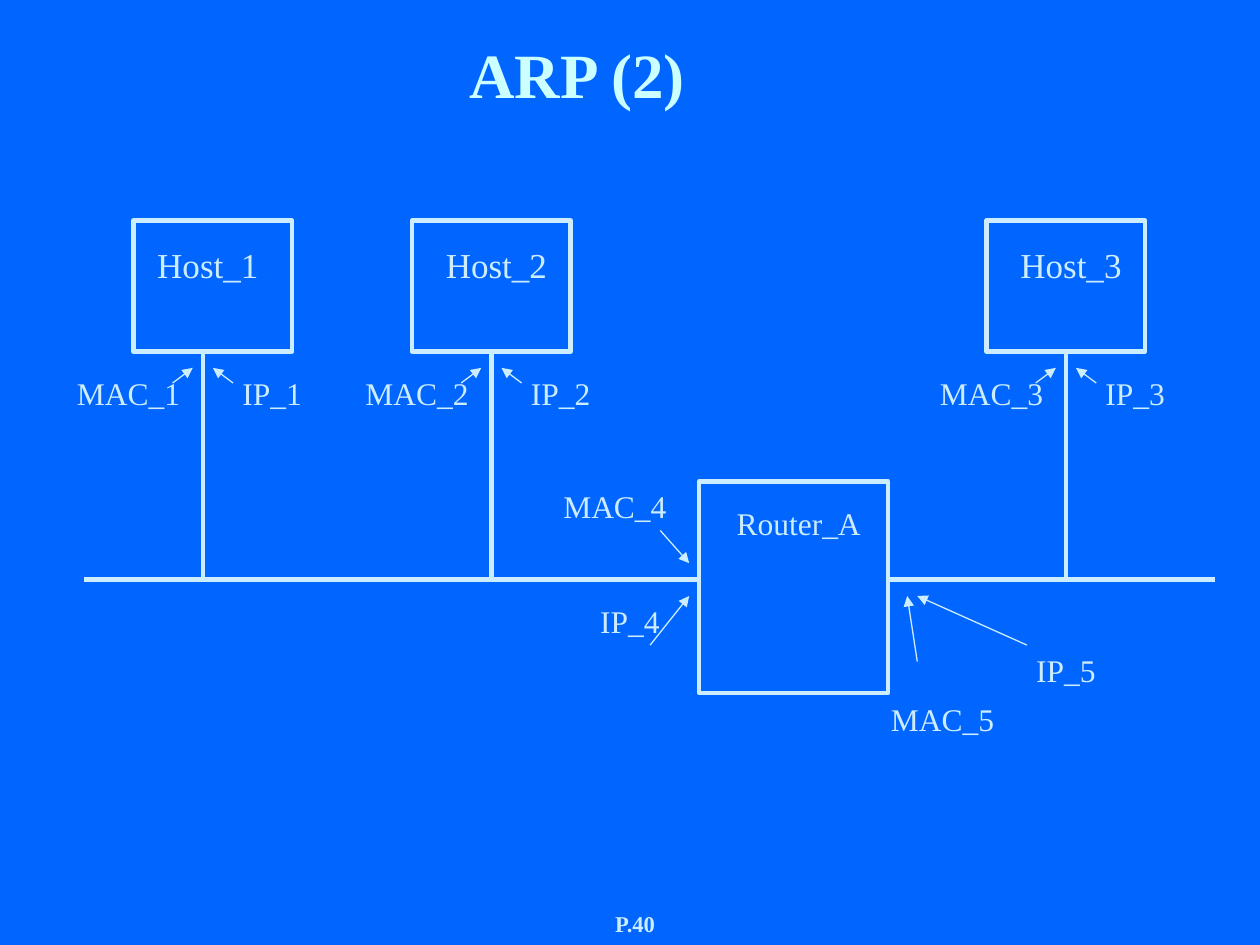
from dataclasses import dataclass

from lxml import etree
from pptx import Presentation
from pptx.dml.color import RGBColor
from pptx.enum import shapes, text
from pptx.oxml.ns import qn
from pptx.util import Inches, Pt

BLUE = RGBColor(0x00, 0x66, 0xFF)
PALE = RGBColor(0xCC, 0xEC, 0xFF)
TITLE = RGBColor(0xCC, 0xFF, 0xFF)
FONT = "Times New Roman"
THICK, THIN = 2.5, 0.75
BUS_Y = 4.6
MAC_W, IP_W = 1.18, 0.94


@dataclass
class Host:
    number: int
    wire_x: float
    box_x: float


@dataclass
class Label:
    words: str
    x: float
    y: float
    w: float


@dataclass
class Arrow:
    x1: float
    y1: float
    x2: float
    y2: float


HOSTS = [Host(1, 1.61, 1.06), Host(2, 3.9, 3.27), Host(3, 8.46, 7.83)]
ROUTER_LABELS = [
    Label("Router_A", 5.71, 3.95, 1.26),
    Label("MAC_4", 4.29, 3.82, MAC_W),
    Label("IP_4", 4.53, 4.73, IP_W),
    Label("MAC_5", 6.89, 5.51, MAC_W),
    Label("IP_5", 7.99, 5.12, IP_W),
]
ROUTER_ARROWS = [
    Arrow(5.24, 4.21, 5.47, 4.47),
    Arrow(5.16, 5.12, 5.47, 4.73),
    Arrow(7.28, 5.25, 7.2, 4.73),
    Arrow(8.15, 5.12, 7.28, 4.73),
]

prs = Presentation()
prs.slide_width, prs.slide_height = Inches(10), Inches(7.5)
s = prs.slides.add_slide(prs.slide_layouts[6])
s.background.fill.solid()
s.background.fill.fore_color.rgb = BLUE


def add_text(label: Label, h: float = 0.4, size: float = 18, bold: bool = False,
             color: RGBColor = PALE, top: float = 0.05) -> None:
    sp = s.shapes.add_textbox(Inches(label.x), Inches(label.y), Inches(label.w), Inches(h))
    tf = sp.text_frame
    tf.word_wrap = True
    tf.margin_top = Inches(top)
    p = tf.paragraphs[0]
    p.text = label.words
    p.alignment = text.PP_ALIGN.CENTER
    p.font.name, p.font.size, p.font.bold = FONT, Pt(size), bold
    p.font.color.rgb = color


def add_box(x: float, y: float, w: float, h: float) -> None:
    sp = s.shapes.add_shape(shapes.MSO_SHAPE.RECTANGLE,
                            Inches(x), Inches(y), Inches(w), Inches(h))
    sp.shadow.inherit = False
    sp.fill.background()
    sp.line.color.rgb = PALE
    sp.line.width = Pt(THICK)


def add_line(a: Arrow, width: float = THICK, head: bool = False) -> None:
    sp = s.shapes.add_connector(shapes.MSO_CONNECTOR.STRAIGHT, Inches(a.x1),
                                Inches(a.y1), Inches(a.x2), Inches(a.y2))
    sp.line.color.rgb = PALE
    sp.line.width = Pt(width)
    if head:
        etree.SubElement(sp.line._get_or_add_ln(), qn("a:tailEnd"), type="triangle")
    etree.SubElement(sp._element.spPr, qn("a:effectLst"))


def add_host(host: Host) -> None:
    x, n = host.wire_x, host.number
    add_box(host.box_x, 1.75, 1.26, 1.04)
    add_line(Arrow(x, 2.79, x, BUS_Y))
    add_text(Label(f"Host_{n}", x - 0.55, 1.88, 1.18), 0.44, 20)
    add_text(Label(f"MAC_{n}", x - MAC_W, 2.92, MAC_W))
    add_text(Label(f"IP_{n}", x + 0.08, 2.92, IP_W))
    for side in (-1, 1):
        add_line(Arrow(x + side * 0.24, 3.04, x + side * 0.08, 2.92), THIN, True)


add_text(Label("P.40", 4, 7.17, 2.08), 0.33, 12.9, True)
add_text(Label("ARP (2)", 0.33, 0.17, 8.5), 1, 36, True, TITLE, 0.11)
add_line(Arrow(0.67, BUS_Y, 5.55, BUS_Y))
add_line(Arrow(9.64, BUS_Y, 7.05, BUS_Y))
for host in HOSTS:
    add_host(host)
add_box(5.55, 3.82, 1.5, 1.68)
for label in ROUTER_LABELS:
    add_text(label)
for arrow in ROUTER_ARROWS:
    add_line(arrow, THIN, True)

prs.save("out.pptx")
